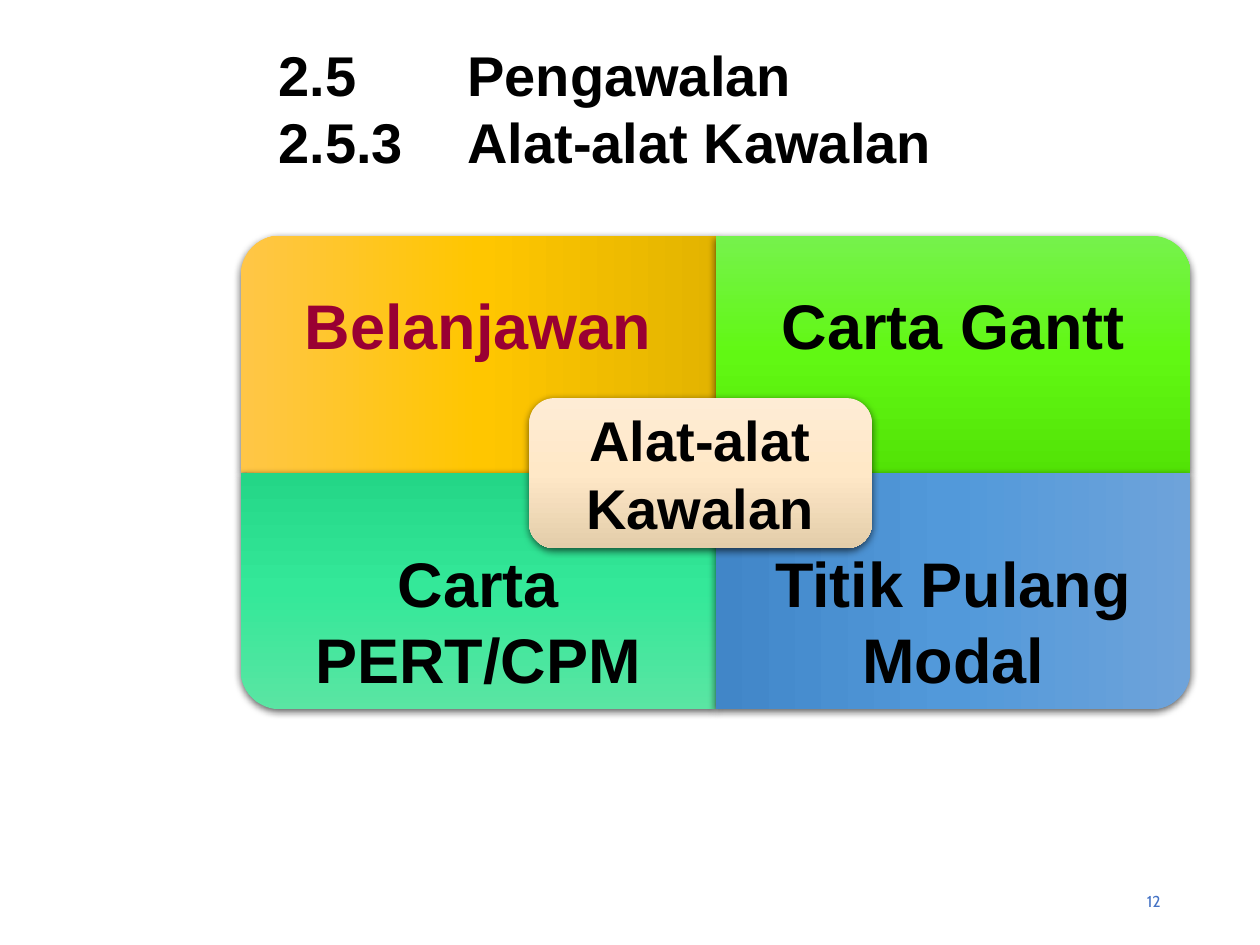
"""Build the slide on control tools: a title, four quadrants and a central label."""
from lxml import etree
from pptx import Presentation
from pptx.dml.color import RGBColor
from pptx.enum.shapes import MSO_SHAPE
from pptx.enum.text import MSO_ANCHOR, PP_ALIGN
from pptx.oxml.ns import qn
from pptx.util import Inches, Pt

ROUND_ONE, ROUND_ALL = MSO_SHAPE.ROUND_1_RECTANGLE, MSO_SHAPE.ROUNDED_RECTANGLE
LEFT, CENTER, RIGHT = PP_ALIGN.LEFT, PP_ALIGN.CENTER, PP_ALIGN.RIGHT
TOP, MIDDLE = MSO_ANCHOR.TOP, MSO_ANCHOR.MIDDLE
BLACK = RGBColor(0x00, 0x00, 0x00)
MAROON = RGBColor(0x99, 0x00, 0x33)
BLUE = RGBColor(0x44, 0x72, 0xC4)
AMBERS = RGBColor(0xFF, 0xC6, 0x47), RGBColor(0xFF, 0xC6, 0x00), RGBColor(0xE3, 0xB4, 0x00)
LIMES = RGBColor(0x76, 0xF2, 0x4C), RGBColor(0x61, 0xF8, 0x13), RGBColor(0x52, 0xE3, 0x06)
MINTS = RGBColor(0x5A, 0xE5, 0xA3), RGBColor(0x34, 0xE8, 0x99), RGBColor(0x24, 0xD6, 0x87)
SKIES = RGBColor(0x6E, 0xA3, 0xDA), RGBColor(0x52, 0x99, 0xDA), RGBColor(0x41, 0x86, 0xC8)
CREAMS = RGBColor(0xFE, 0xEC, 0xD5), RGBColor(0xFF, 0xE8, 0xC7), RGBColor(0xE3, 0xCD, 0xAA)


def write(sp, text, size=36, color=BLACK, font="Arial", bold=True,
          align=CENTER, anchor=MIDDLE, inset=(0.16, 0.16)):
    tf = sp.text_frame
    tf.text = text
    tf.word_wrap = True
    tf.vertical_anchor = anchor
    tf.margin_left = tf.margin_right = Inches(inset[0])
    tf.margin_top = tf.margin_bottom = Inches(inset[1])
    for p in tf.paragraphs:
        p.alignment = align
        p.space_before = Pt(0)
        for r in p.runs:
            r.font.size, r.font.name, r.font.bold = Pt(size), font, bold
            r.font.color.rgb = color


def add_panel(kind, x, y, w, h, colors, turn=0):
    sp = s.shapes.add_shape(kind, Inches(x), Inches(y), Inches(w), Inches(h))
    sp.rotation = turn
    sp.adjustments[0] = 0.167
    sp.line.fill.background()
    sp.fill.gradient()
    sp.fill.gradient_angle = 270
    stops = sp._element.spPr.find(".//" + qn("a:gsLst"))
    stops.clear()
    for i, color in enumerate(colors):
        stop = etree.SubElement(stops, qn("a:gs"), pos=str(50000 * i))
        etree.SubElement(stop, qn("a:srgbClr"), val=str(color))
    sp.shadow.inherit = False
    effects = sp._element.spPr.find(qn("a:effectLst"))
    shadow = etree.SubElement(effects, qn("a:outerShdw"), blurRad=str(Pt(4.5)),
                              dist=str(Pt(1.5)), dir="5400000", rotWithShape="0")
    tint = etree.SubElement(shadow, qn("a:srgbClr"), val=str(BLACK))
    etree.SubElement(tint, qn("a:alpha"), val="62000")


prs = Presentation()
prs.slide_width, prs.slide_height = Inches(10), Inches(7.5)
s = prs.slides.add_slide(prs.slide_layouts[5])

title = s.shapes.title
title.left, title.top, title.width, title.height = map(Inches, (2.11, 0.27, 6.7, 1.34))
write(title, "2.5\t\tPengawalan\n2.5.3\t\tAlat-alat Kawalan", size=32,
      align=LEFT, anchor=TOP, inset=(0.1, 0.05))

X, Y, COL, ROW = 1.91, 1.87, 3.77, 1.88
quadrants = [
    (0, 0, 270, AMBERS, "Belanjawan", MAROON),
    (1, 0, 0, LIMES, "Carta Gantt", BLACK),
    (0, 1, 180, MINTS, "Carta PERT/CPM", BLACK),
    (1, 1, 90, SKIES, "Titik Pulang Modal", BLACK),
]
for col, row, turn, colors, text, color in quadrants:
    x, y = X + col * COL, Y + row * ROW
    w, h = (ROW, COL) if turn % 180 else (COL, ROW)
    add_panel(ROUND_ONE, x + (COL - w) / 2, y + (ROW - h) / 2, w, h, colors, turn)
    sp = s.shapes.add_textbox(Inches(x), Inches(y + row * ROW / 4),
                              Inches(COL), Inches(ROW * 3 / 4))
    write(sp, text, color=color)

add_panel(ROUND_ALL, 4.2, 3.16, 2.72, 1.19, CREAMS)
sp = s.shapes.add_textbox(Inches(4.47), Inches(3.33), Inches(2.17), Inches(0.85))
write(sp, "Alat-alat Kawalan", size=32, inset=(0.09, 0.09))

sp = s.shapes.add_textbox(Inches(7.06), Inches(6.95), Inches(2.25), Inches(0.4))
write(sp, "12", size=9, color=BLUE, font="Cabin", bold=False, align=RIGHT, inset=(0.1, 0.05))

prs.save("out.pptx")
